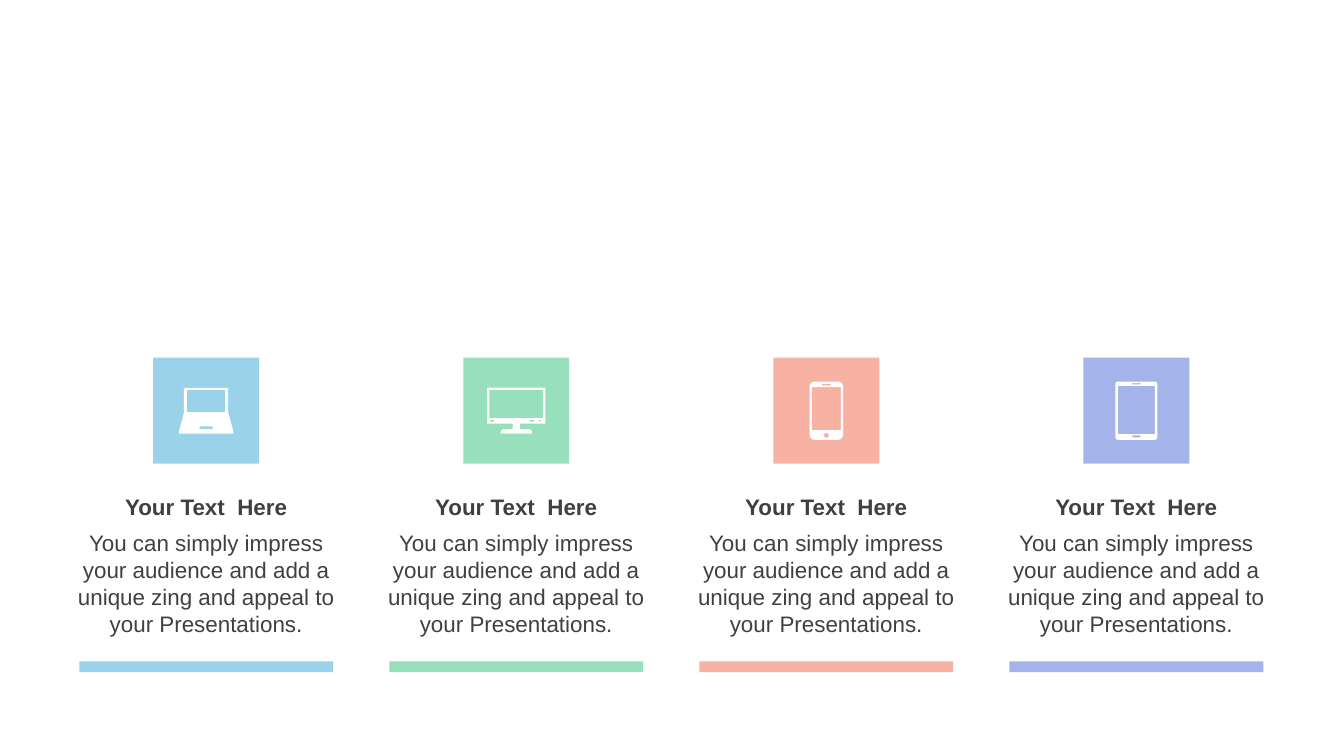
from math import cos, pi, sin

from pptx import Presentation
from pptx.dml.color import RGBColor
from pptx.enum.shapes import MSO_SHAPE
from pptx.enum.text import MSO_AUTO_SIZE, PP_ALIGN
from pptx.util import Pt

BLUE = RGBColor(0x9A, 0xD3, 0xE9)
GREEN = RGBColor(0x98, 0xDF, 0xBB)
CORAL = RGBColor(0xF8, 0xB2, 0xA3)
LAVENDER = RGBColor(0xA4, 0xB4, 0xEA)
WHITE = RGBColor(0xFF, 0xFF, 0xFF)
DARK_GRAY = RGBColor(0x40, 0x40, 0x40)

HEADING = "Your Text  Here"
BODY = (
    "You can simply impress your audience and add a unique zing "
    "and appeal to your Presentations."
)

COLUMN_LEFT = 32.4
COLUMN_TOP = 191.6
COLUMN_WIDTH = 156.2
COLUMN_PITCH = 166.1
TILE_SIZE = 56.8
BAR_WIDTH = 136


def box(left, top, right, bottom, radius=0):
    """Return the outline of a rectangle, with rounded corners if asked."""
    if not radius:
        return [(left, top), (right, top), (right, bottom), (left, bottom)]
    corners = [
        (right - radius, bottom - radius),
        (left + radius, bottom - radius),
        (left + radius, top + radius),
        (right - radius, top + radius),
    ]
    return [
        (x + radius * cos(angle), y + radius * sin(angle))
        for quarter, (x, y) in enumerate(corners)
        for angle in [(quarter + step / 6) * pi / 2 for step in range(7)]
    ]


LAPTOP = [
    [(-11.9, -12.2), (11.8, -12.2), (11.8, 1.2), (14.6, 11.1),
     (14.6, 12.3), (-14.6, 12.3), (-14.6, 11.1), (-11.9, 1.2)],
    box(-10.3, -11.1, 10.2, 0.8),
    [(-3.2, 8.4), (3.2, 8.4), (3.8, 9.9), (-3.8, 9.9)],
]
MONITOR = [
    [(-15.6, -12.3), (15.6, -12.3), (15.6, 7), (1.8, 7), (2.1, 10),
     (7, 10), (8, 10.5), (8.4, 11.5), (8.4, 12.3), (-8.4, 12.3),
     (-8.4, 11.5), (-8, 10.5), (-7, 10), (-2.1, 10), (-1.8, 7), (-15.6, 7)],
    box(-14.4, -11.1, 14.4, 4.1),
    box(-14.2, 5, -11.9, 5.9, 0.4),
    box(7.1, 5, 9.5, 5.9, 0.4),
    box(12.1, 5, 13.1, 6, 0.5),
]
PHONE = [
    box(-9, -15.6, 9, 15.6, 2.9),
    box(-7.8, -12.6, 7.8, 10.4),
    box(-2.5, -14.4, 2.5, -13.5, 0.4),
    box(-1.3, 11.9, 1.3, 14.5, 1.3),
]
TABLET = [
    box(-11.2, -15.6, 11.2, 15.6, 1.3),
    box(-9.9, -13.3, 9.9, 12.6),
    box(-2.3, -14.8, 2.3, -14.1, 0.3),
    box(-2.3, 13.3, 2.3, 14.3, 0.4),
]

COLUMNS = [(BLUE, LAPTOP), (GREEN, MONITOR), (CORAL, PHONE), (LAVENDER, TABLET)]


def paint(shape, color):
    """Give a shape a flat fill with no line or shadow."""
    shape.shadow.inherit = False
    shape.fill.solid()
    shape.fill.fore_color.rgb = color
    shape.line.fill.background()


def add_rectangle(slide, left, top, width, height, color):
    """Add a flat rectangle."""
    rectangle = slide.shapes.add_shape(
        MSO_SHAPE.RECTANGLE, Pt(left), Pt(top), Pt(width), Pt(height)
    )
    paint(rectangle, color)


def add_icon(slide, center_x, center_y, outlines):
    """Add a white icon whose outlines are measured from its center."""
    builder = None
    for outline in outlines:
        points = [(Pt(center_x + x), Pt(center_y + y)) for x, y in outline]
        if builder is None:
            builder = slide.shapes.build_freeform(*points[0])
        else:
            builder.move_to(*points[0])
        builder.add_line_segments(points[1:], close=True)
    paint(builder.convert_to_shape(), WHITE)


def add_text(slide, left, top, width, height, text, bold=False):
    """Add a centered, wrapped text box."""
    text_box = slide.shapes.add_textbox(Pt(left), Pt(top), Pt(width), Pt(height))
    frame = text_box.text_frame
    frame.word_wrap = True
    frame.auto_size = MSO_AUTO_SIZE.SHAPE_TO_FIT_TEXT
    paragraph = frame.paragraphs[0]
    paragraph.text = text
    paragraph.alignment = PP_ALIGN.CENTER
    paragraph.font.name = "Arial"
    paragraph.font.size = Pt(12)
    paragraph.font.bold = bold
    paragraph.font.color.rgb = DARK_GRAY


def add_column(slide, left, top, width, color, icon):
    """Add one device column: icon tile, heading, body text and bar."""
    center = left + width / 2
    add_rectangle(slide, center - TILE_SIZE / 2, top, TILE_SIZE, TILE_SIZE, color)
    add_icon(slide, center, top + TILE_SIZE / 2, icon)
    add_text(slide, left, top + 69, width, 21.6, HEADING, bold=True)
    add_text(slide, left, top + 88.5, width, 65.5, BODY)
    add_rectangle(slide, center - BAR_WIDTH / 2, top + 162.8, BAR_WIDTH, 5.7, color)


def main():
    """Build the slide with four device columns."""
    presentation = Presentation()
    presentation.slide_width = Pt(720)
    presentation.slide_height = Pt(405)
    slide = presentation.slides.add_slide(presentation.slide_layouts[6])
    for index, (color, icon) in enumerate(COLUMNS):
        left = COLUMN_LEFT + index * COLUMN_PITCH
        add_column(slide, left, COLUMN_TOP, COLUMN_WIDTH, color, icon)
    presentation.save("out.pptx")


if __name__ == "__main__":
    main()
